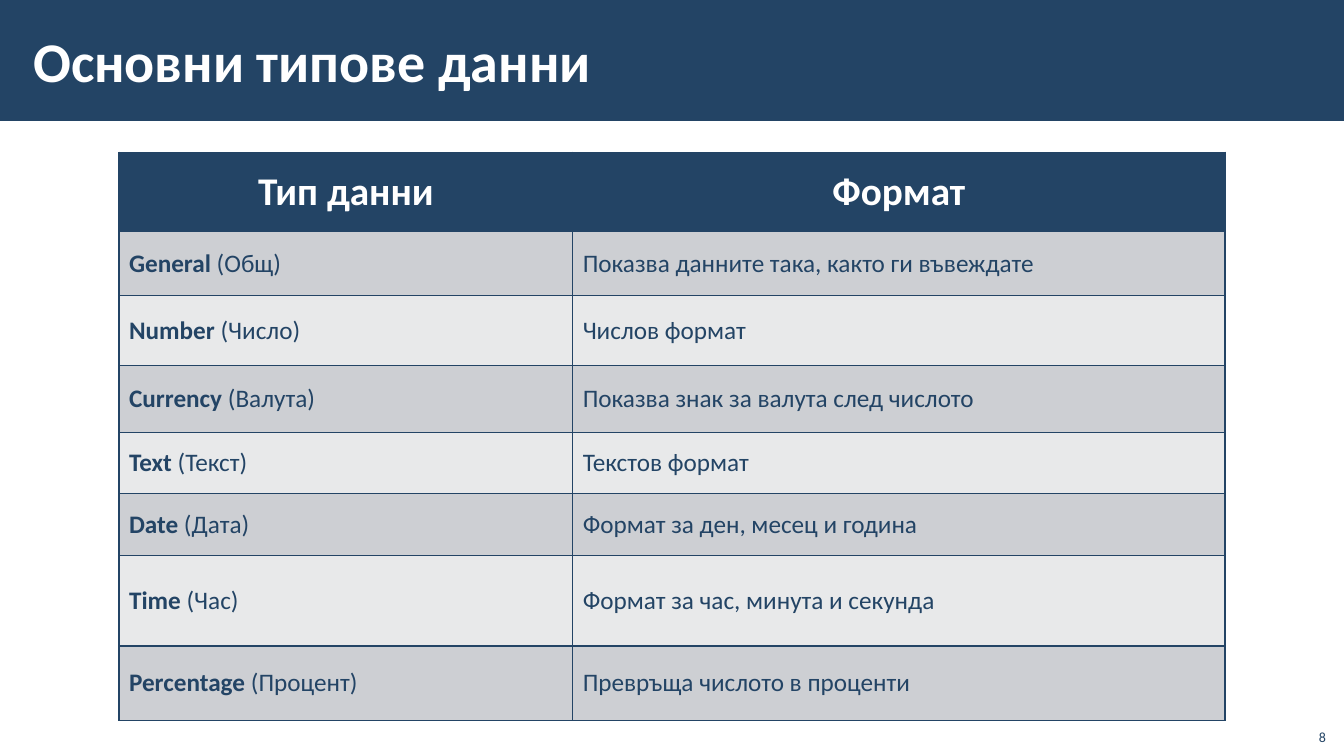
import dataclasses

import pptx
import pptx.dml.color
import pptx.enum.shapes
import pptx.enum.text
import pptx.oxml
import pptx.oxml.ns
import pptx.util

ALIGN = pptx.enum.text.PP_ALIGN
ANCHOR = pptx.enum.text.MSO_ANCHOR


@dataclasses.dataclass(frozen=True)
class Theme:
    font: str = "Calibri"
    navy: str = "234465"
    white: str = "FFFFFF"
    bands: tuple = ("CDCFD3", "E8E9EA")
    title: int = 40
    head: int = 28
    body: int = 18
    small: int = 10
    border: int = 1


class Deck:
    """Draw styled elements on one slide, with lengths in px at 100 to the inch."""

    def __init__(self, theme, width, height):
        self.theme = theme
        self.show = pptx.Presentation()
        self.show.slide_width = self.px(width)
        self.show.slide_height = self.px(height)
        self.slide = self.show.slides.add_slide(self.show.slide_layouts[6])

    def px(self, size):
        return pptx.util.Emu(size * 9144)

    def box(self, area):
        return [self.px(size) for size in area]

    def color(self, name):
        return pptx.dml.color.RGBColor.from_string(name)

    def paint(self, target, name):
        target.fill.solid()
        target.fill.fore_color.rgb = self.color(name)

    def style(self, run, size, name, bold=False):
        run.font.name = self.theme.font
        run.font.size = pptx.util.Pt(size)
        run.font.bold = bold
        run.font.color.rgb = self.color(name)

    def band(self, area, name):
        shape = self.slide.shapes.add_shape(
            pptx.enum.shapes.MSO_SHAPE.RECTANGLE, *self.box(area))
        shape.shadow.inherit = False
        self.paint(shape, name)
        shape.line.fill.background()

    def text(self, area, words, size, name, bold=False, align=ALIGN.LEFT,
             anchor=ANCHOR.MIDDLE, inset=(10, 5)):
        frame = self.slide.shapes.add_textbox(*self.box(area)).text_frame
        frame.word_wrap = True
        frame.vertical_anchor = anchor
        frame.margin_left = frame.margin_right = self.px(inset[0])
        frame.margin_top = frame.margin_bottom = self.px(inset[1])
        frame.text = words
        para = frame.paragraphs[0]
        para.alignment = align
        self.style(para.runs[0], size, name, bold)

    def edge(self, cell):
        props = cell._tc.get_or_add_tcPr()
        space = pptx.oxml.ns.nsdecls("a")
        width = pptx.util.Pt(self.theme.border)
        for spot, side in enumerate("LRTB"):
            props.insert(spot, pptx.oxml.parse_xml(
                f'<a:ln{side} {space} w="{width}"><a:solidFill>'
                f'<a:srgbClr val="{self.theme.navy}"/></a:solidFill></a:ln{side}>'))

    def cell(self, cell, parts, size, name, fill, align):
        self.paint(cell, fill)
        self.edge(cell)
        cell.vertical_anchor = ANCHOR.MIDDLE
        para = cell.text_frame.paragraphs[0]
        para.alignment = align
        for words, bold in parts:
            run = para.add_run()
            run.text = words
            self.style(run, size, name, bold)

    def table(self, left, top, cols, rows, heads, data):
        theme = self.theme
        area = (left, top, sum(cols), sum(rows))
        grid = self.slide.shapes.add_table(
            len(rows), len(cols), *self.box(area)).table
        for col, width in zip(grid.columns, cols):
            col.width = self.px(width)
        for row, height in zip(grid.rows, rows):
            row.height = self.px(height)
        for col, words in enumerate(heads):
            self.cell(grid.cell(0, col), [(words, True)], theme.head,
                      theme.white, theme.navy, ALIGN.CENTER)
        for row, (key, local, note) in enumerate(data, 1):
            fill = theme.bands[(row - 1) % 2]
            pair = [(key, True), (f" ({local})", False)], [(note, False)]
            for col, parts in enumerate(pair):
                self.cell(grid.cell(row, col), parts, theme.body,
                          theme.navy, fill, ALIGN.LEFT)


TYPES = [
    ("General", "Общ", "Показва данните така, както ги въвеждате"),
    ("Number", "Число", "Числов формат"),
    ("Currency", "Валута", "Показва знак за валута след числото"),
    ("Text", "Текст", "Текстов формат"),
    ("Date", "Дата", "Формат за ден, месец и година"),
    ("Time", "Час", "Формат за час, минута и секунда"),
    ("Percentage", "Процент", "Превръща числото в проценти"),
]


def main():
    theme = Theme()
    deck = Deck(theme, 1333, 750)
    deck.band((0, 0, 1334, 120), theme.navy)
    deck.text((1285, 712, 40, 32), "8", theme.small, theme.navy,
              align=ALIGN.RIGHT, anchor=ANCHOR.BOTTOM)
    deck.text((21, 11, 1123, 97), "Основни типове данни", theme.title,
              theme.white, bold=True, inset=(12, 4))
    deck.table(118, 151, (450, 647), (79, 63, 70, 66, 61, 61, 90, 74),
               ("Тип данни", "Формат"), TYPES)
    deck.show.save("out.pptx")


if __name__ == "__main__":
    main()
